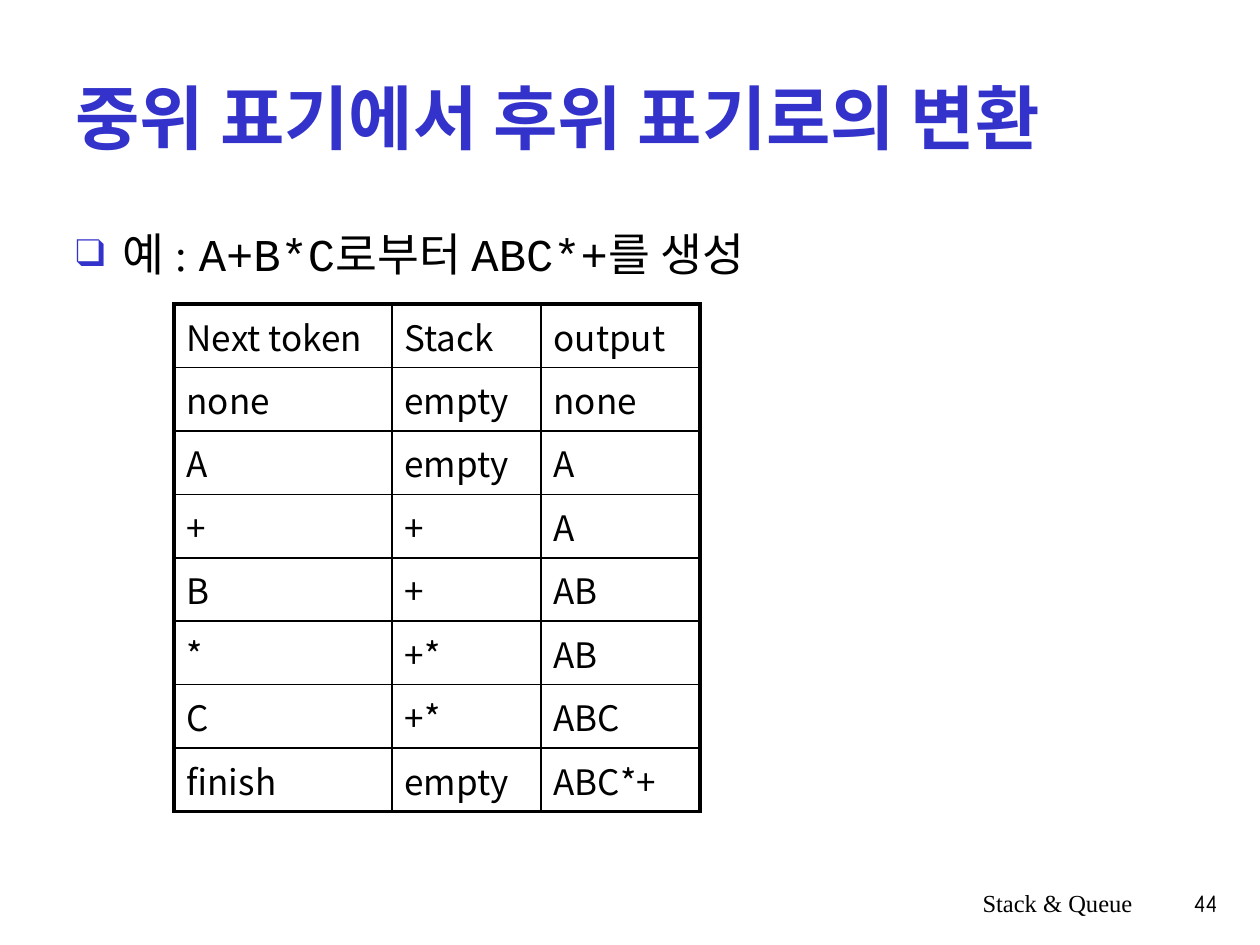
from dataclasses import dataclass

import lxml.etree
import pptx
import pptx.dml.color
import pptx.enum.text
import pptx.oxml.ns
import pptx.util

EMU_PER_PX = 914400 / 126
BLACK = pptx.dml.color.RGBColor(0x00, 0x00, 0x00)
BLUE = pptx.dml.color.RGBColor(0x33, 0x33, 0xCC)
SERIF = "Times New Roman"
MONO = "Courier New"
HANGUL = "Noto Sans CJK KR"
THIN, THICK = 1, 2.25
COLUMN_WIDTHS = (218, 149, 159)
ROW_HEIGHT = 63
ROWS = (
    ("Next token", "Stack", "output"),
    ("none", "empty", "none"),
    ("A", "empty", "A"),
    ("+", "+", "A"),
    ("B", "+", "AB"),
    ("*", "+*", "AB"),
    ("C", "+*", "ABC"),
    ("finish", "empty", "ABC*+"),
)


@dataclass(frozen=True)
class Box:
    left: int
    top: int
    width: int
    height: int

    def emu(self) -> tuple:
        return tuple(map(px, (self.left, self.top, self.width, self.height)))


@dataclass(frozen=True)
class Style:
    size: int
    font: str
    color: pptx.dml.color.RGBColor = BLACK
    bold: bool = False


@dataclass(frozen=True)
class Footer:
    box: Box
    text: str
    style: Style


EXAMPLE = (
    ("예 : ", SERIF),
    ("A+B*C", MONO),
    ("로부터 ", SERIF),
    ("ABC*+", MONO),
    ("를 생성", SERIF),
)
FOOTERS = (
    Footer(Box(746, 882, 399, 63), "Stack & Queue", Style(14, SERIF)),
    Footer(Box(1123, 882, 107, 63), "44", Style(14, "Comic Neue")),
)


def px(length: int) -> int:
    return pptx.util.Emu(round(length * EMU_PER_PX))


def add_xml(parent, tag: str, **attributes: str):
    return lxml.etree.SubElement(parent, pptx.oxml.ns.qn(tag), attributes)


def add_run(p, text: str, style: Style) -> None:
    r = p.add_run()
    r.text = text
    r.font.size = pptx.util.Pt(style.size)
    r.font.name = style.font
    r.font.bold = style.bold
    r.font.color.rgb = style.color
    add_xml(r.font._element, "a:ea", typeface=HANGUL)


def place(sp, box: Box) -> None:
    sp.left, sp.top, sp.width, sp.height = box.emu()


def fill_title(sp) -> None:
    place(sp, Box(63, 38, 1134, 158))
    tf = sp.text_frame
    tf.vertical_anchor = pptx.enum.text.MSO_ANCHOR.MIDDLE
    p = tf.paragraphs[0]
    p.alignment = pptx.enum.text.PP_ALIGN.LEFT
    add_run(p, "중위 표기에서 후위 표기로의 변환", Style(40, SERIF, BLUE, True))


def fill_body(sp) -> None:
    place(sp, Box(63, 220, 1133, 624))
    p = sp.text_frame.paragraphs[0]
    p.space_before = pptx.util.Pt(0)
    props = p._p.get_or_add_pPr()
    props.set("marL", str(px(47)))
    props.set("indent", str(-px(47)))
    bullet_color = add_xml(props, "a:buClr")
    add_xml(bullet_color, "a:srgbClr", val=str(BLUE))
    add_xml(props, "a:buSzPct", val="85000")
    add_xml(props, "a:buFont", typeface=SERIF)
    add_xml(props, "a:buChar", char="❑")
    for text, font in EXAMPLE:
        add_run(p, text, Style(26, font))


def set_borders(cell, widths: dict) -> None:
    props = cell._tc.get_or_add_tcPr()
    for i, (side, width) in enumerate(widths.items()):
        line = add_xml(props, f"a:ln{side}", w=str(pptx.util.Pt(width)))
        fill = add_xml(line, "a:solidFill")
        add_xml(fill, "a:srgbClr", val=str(BLACK))
        props.insert(i, line)


def add_trace_table(s) -> None:
    rows, cols = len(ROWS), len(COLUMN_WIDTHS)
    box = Box(174, 304, sum(COLUMN_WIDTHS), rows * ROW_HEIGHT)
    table = s.shapes.add_table(rows, cols, *box.emu()).table
    table.first_row = table.horz_banding = False
    for column, width in zip(table.columns, COLUMN_WIDTHS):
        column.width = px(width)
    for i, texts in enumerate(ROWS):
        table.rows[i].height = px(ROW_HEIGHT)
        for j, text in enumerate(texts):
            cell = table.cell(i, j)
            cell.fill.background()
            add_run(cell.text_frame.paragraphs[0], text, Style(20, HANGUL))
            set_borders(cell, {
                "L": THICK if j == 0 else THIN,
                "R": THICK if j == cols - 1 else THIN,
                "T": THICK if i == 0 else THIN,
                "B": THICK if i == rows - 1 else THIN,
            })


def add_footer(s, footer: Footer) -> None:
    tf = s.shapes.add_textbox(*footer.box.emu()).text_frame
    tf.word_wrap = True
    p = tf.paragraphs[0]
    p.alignment = pptx.enum.text.PP_ALIGN.RIGHT
    add_run(p, footer.text, footer.style)


def main() -> None:
    prs = pptx.Presentation()
    prs.slide_width, prs.slide_height = px(1260), px(945)
    s = prs.slides.add_slide(prs.slide_layouts[1])
    fill_title(s.shapes.title)
    fill_body(s.placeholders[1])
    add_trace_table(s)
    for footer in FOOTERS:
        add_footer(s, footer)
    prs.save("out.pptx")


if __name__ == "__main__":
    main()
